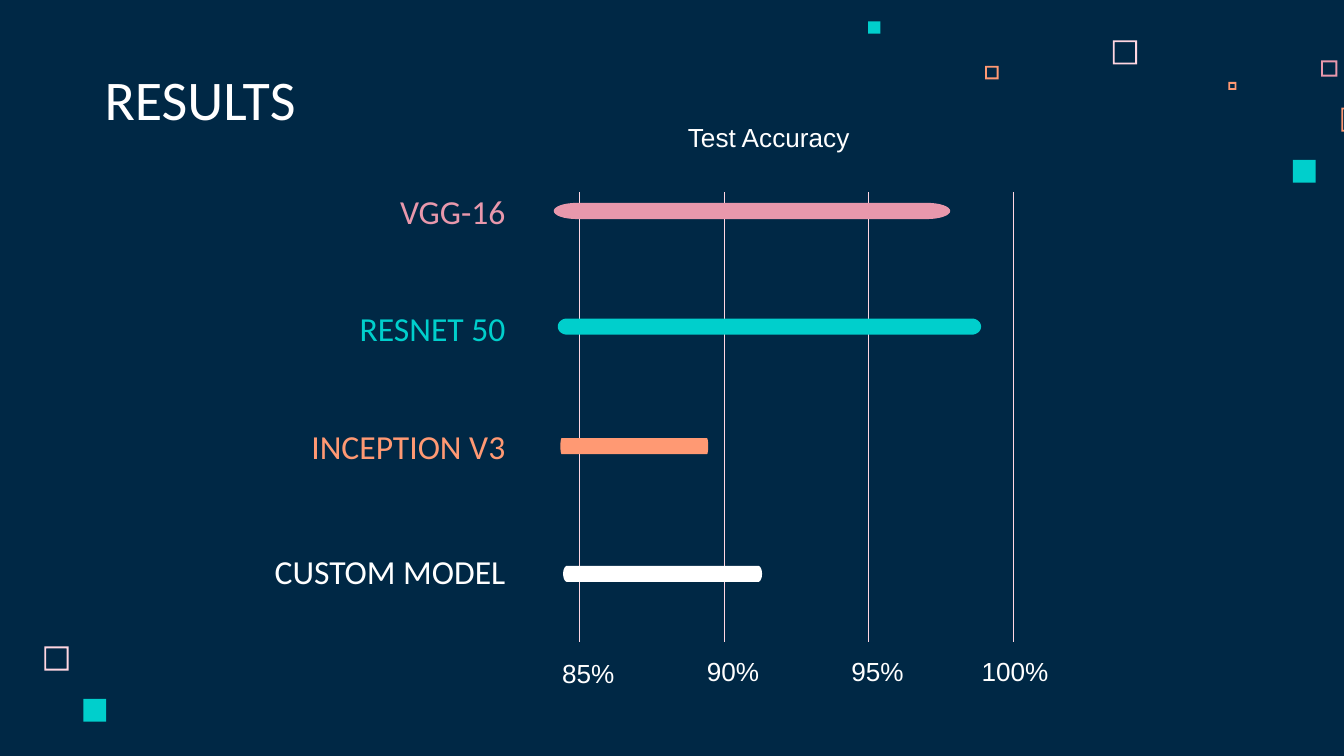
"""Build the results slide comparing the test accuracy of four models."""
from math import cos, pi, sin

from pptx import Presentation
from pptx.dml.color import RGBColor
from pptx.enum.shapes import MSO_CONNECTOR as Connector, MSO_SHAPE as Shape
from pptx.enum.text import MSO_ANCHOR as Anchor, PP_ALIGN as Align
from pptx.oxml.ns import qn
from pptx.util import Inches, Pt

NAVY = RGBColor(0x00, 0x28, 0x45)
WHITE = RGBColor(0xFF, 0xFF, 0xFF)
BLUSH = RGBColor(0xFF, 0xD6, 0xE1)
PINK = RGBColor(0xE8, 0x98, 0xAC)
ORANGE = RGBColor(0xFF, 0x99, 0x73)
TEAL = RGBColor(0x00, 0xCF, 0xCC)

SLIDE_WIDTH = Inches(10)
SLIDE_HEIGHT = SLIDE_WIDTH * 9 // 16

FRAMES = [
    (8.28, 0.3, 0.18, BLUSH),
    (9.83, 0.45, 0.12, PINK),
    (9.14, 0.61, 0.06, ORANGE),
    (9.98, 0.8, 0.18, ORANGE),
    (7.33, 0.49, 0.1, ORANGE),
    (0.33, 4.81, 0.18, BLUSH),
]
SQUARES = [(9.62, 1.19, 0.17), (6.46, 0.16, 0.09), (0.62, 5.2, 0.17)]
FRAME_THICKNESS = Pt(1)

MODELS = [
    {"name": "VGG-16", "color": PINK, "label_top": 1.39,
     "bar": (4.12, 1.51, 2.95), "cap": 0.17},
    {"name": "RESNET 50", "color": TEAL, "label_top": 2.26,
     "bar": (4.15, 2.37, 3.15), "cap": 0.07},
    {"name": "INCEPTION V3", "color": ORANGE, "label_top": 3.14,
     "bar": (4.17, 3.26, 1.1), "cap": 0.01},
    {"name": "CUSTOM MODEL", "color": WHITE, "label_top": 4.07,
     "bar": (4.19, 4.21, 1.48), "cap": 0.03},
]
BAR_HEIGHT = 0.12
CAP_STEPS = 16

TICKS = [("85%", 4.79), ("90%", 4.78), ("95%", 4.78), ("100%", 4.78)]
GRID_LEFT, GRID_RIGHT = 4.31, 7.54
GRID_TOP, GRID_BOTTOM = 1.43, 4.78
TICK_OFFSET = -0.36

HEADING = {"size": Pt(30), "name": "Calibri"}
LABEL = {"size": Pt(18), "name": "Calibri"}
NOTE = {"size": Pt(14), "name": "Arial"}


def paint(shape, color):
    shape.shadow.inherit = False
    shape.fill.solid()
    shape.fill.fore_color.rgb = color
    shape.line.fill.background()


def add_square(slide, kind, left, top, side, color):
    square = slide.shapes.add_shape(
        kind, Inches(left), Inches(top), Inches(side), Inches(side))
    paint(square, color)
    return square


def add_text(slide, words, box, style, color, align, anchor, space_after=0):
    frame = slide.shapes.add_textbox(*map(Inches, box)).text_frame
    frame_format = {"word_wrap": True, "vertical_anchor": anchor}
    for side in ("left", "top", "right", "bottom"):
        frame_format[f"margin_{side}"] = Inches(0.1)
    for key, value in frame_format.items():
        setattr(frame, key, value)
    paragraph = frame.paragraphs[0]
    paragraph.alignment = align
    paragraph.space_after = Pt(space_after)
    run = paragraph.add_run()
    run.text = words
    for key, value in style.items():
        setattr(run.font, key, value)
    run.font.color.rgb = color


def add_gridline(slide, x):
    gridline = slide.shapes.add_connector(
        Connector.STRAIGHT, Inches(x), Inches(GRID_TOP), Inches(x), Inches(GRID_BOTTOM))
    gridline.line.color.rgb = BLUSH
    gridline.line.width = Pt(0.25)
    properties = gridline.element.spPr
    properties.append(properties.makeelement(qn("a:effectLst"), {}))


def add_bar(slide, left, top, width, cap, color):
    radius = BAR_HEIGHT / 2
    outline = []
    for center, start in ((left + width - cap, -pi / 2), (left + cap, pi / 2)):
        for step in range(CAP_STEPS + 1):
            angle = start + pi * step / CAP_STEPS
            outline.append((Inches(center + cap * cos(angle)),
                            Inches(top + radius + radius * sin(angle))))
    builder = slide.shapes.build_freeform(*outline[0])
    builder.add_line_segments(outline[1:], close=True)
    paint(builder.convert_to_shape(), color)


def main():
    deck = Presentation()
    deck.slide_width, deck.slide_height = SLIDE_WIDTH, SLIDE_HEIGHT
    slide = deck.slides.add_slide(deck.slide_layouts[6])
    slide.background.fill.solid()
    slide.background.fill.fore_color.rgb = NAVY

    for left, top, side, color in FRAMES:
        square = add_square(slide, Shape.FRAME, left, top, side, color)
        square.adjustments[0] = FRAME_THICKNESS / Inches(side)
    for left, top, side in SQUARES:
        add_square(slide, Shape.RECTANGLE, left, top, side, TEAL)

    add_text(slide, "RESULTS", (0.68, 0.45, 5.17, 0.63), HEADING, WHITE,
             Align.LEFT, Anchor.BOTTOM)

    grid_step = (GRID_RIGHT - GRID_LEFT) / (len(TICKS) - 1)
    for index, (tick, tick_top) in enumerate(TICKS):
        x = GRID_LEFT + index * grid_step
        add_gridline(slide, x)
        add_text(slide, tick, (x + TICK_OFFSET, tick_top, 0.72, 0.71), NOTE,
                 WHITE, Align.RIGHT, Anchor.TOP, 16)

    for model in MODELS:
        add_bar(slide, *model["bar"], model["cap"], model["color"])
        add_text(slide, model["name"], (1.8, model["label_top"], 2.06, 0.43), LABEL,
                 model["color"], Align.RIGHT, Anchor.BOTTOM)

    add_text(slide, "Test Accuracy", (4.89, 0.8, 1.66, 0.44), NOTE, WHITE,
             Align.CENTER, Anchor.TOP, 16)
    deck.save("out.pptx")


if __name__ == "__main__":
    main()
